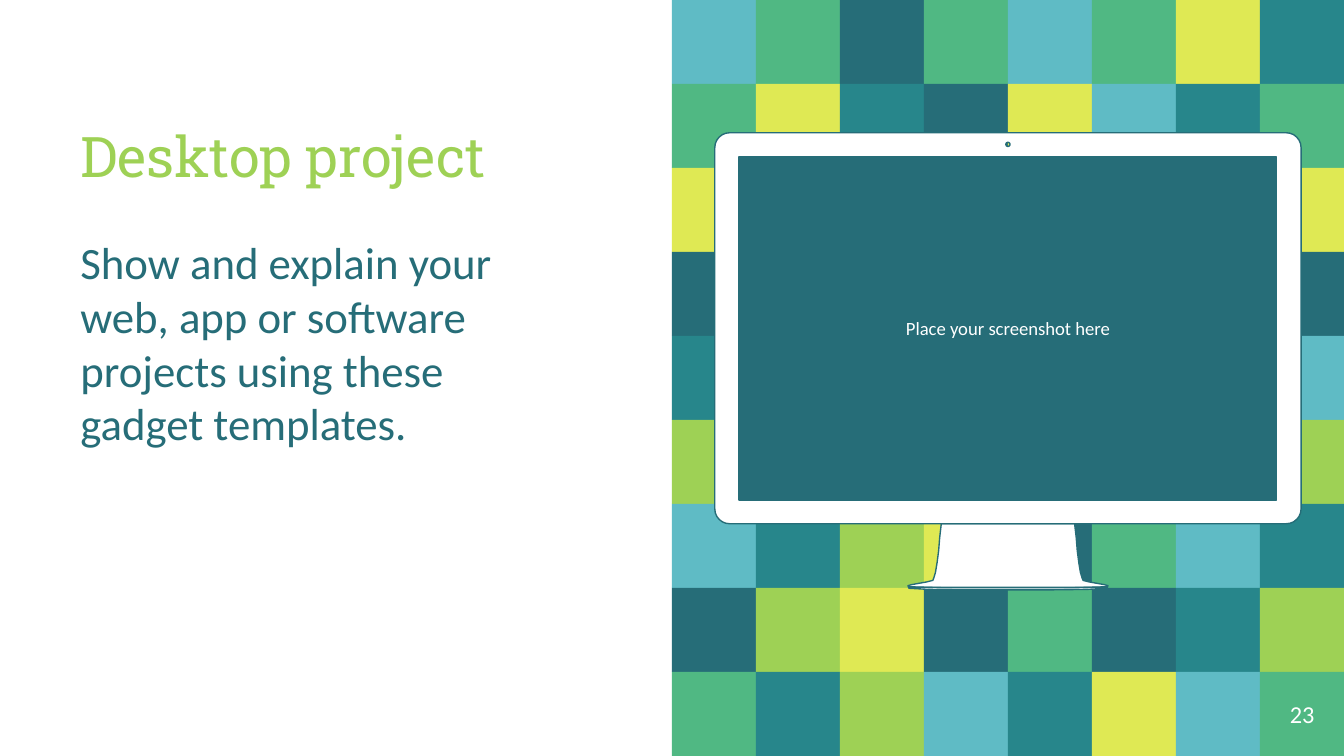
from math import cos, pi, sin

from pptx import Presentation
from pptx.dml.color import RGBColor
from pptx.enum.shapes import MSO_SHAPE
from pptx.enum.text import MSO_ANCHOR, PP_ALIGN
from pptx.util import Cm, Pt

WHITE, DARK, LIME = "FFFFFF", "266D78", "9ED155"
TILE_COLORS = {"L": LIME, "D": DARK, "Y": "DFE954",
               "G": "50B883", "T": "27868B", "C": "5FBBC5"}
MOSAIC = ["CGDGCGYT",
          "GYTDYCTG",
          "Y......Y",
          "D......D",
          "T......C",
          "LCDLTLGL",
          "CTLYDGCT",
          "DLYDGDTL",
          "GTLCTYCG"]
TILE = 25.4 / 16
MOSAIC_LEFT = 12.7
MONITOR_CENTER = 19.05
SCREEN_HALF, SCREEN_TOP, SCREEN_BOTTOM = 5.08, 2.97, 9.45
STAND = [(1.26, 9.9), (1.29, 10.16), (1.31, 10.41), (1.34, 10.64),
         (1.37, 10.82), (1.4, 10.92), (1.42, 10.97), (1.54, 11),
         (1.82, 11.05), (1.89, 11.07), (1.88, 11.09), (1.2, 11.11)]
FOOT = [(1.88, 11.1), (1.87, 11.12), (1.5, 11.14), (0.73, 11.15)]


def color(value):
    """Return the colour for a hex string."""
    return RGBColor.from_string(value)


def paint(shape, fill, line=None):
    """Give a shape a solid fill and an optional thin outline."""
    shape.shadow.inherit = False
    shape.fill.solid()
    shape.fill.fore_color.rgb = color(fill)
    if line:
        shape.line.color.rgb = color(line)
        shape.line.width = Pt(0.75)
    else:
        shape.line.fill.background()


def add_rectangle(slide, left, top, width, height, fill):
    """Add a filled rectangle, measured in centimetres."""
    shape = slide.shapes.add_shape(
        MSO_SHAPE.RECTANGLE, Cm(left), Cm(top), Cm(width), Cm(height))
    paint(shape, fill)
    return shape


def write(shape, text, size, text_color, font="Calibri",
          align=PP_ALIGN.LEFT, anchor=MSO_ANCHOR.TOP, space_before=0):
    """Write one formatted paragraph into a shape."""
    text_frame = shape.text_frame
    text_frame.text = text
    text_frame.word_wrap = True
    text_frame.vertical_anchor = anchor
    text_frame.margin_left = text_frame.margin_right = Cm(0.25)
    text_frame.margin_top = text_frame.margin_bottom = Cm(0.25)
    paragraph = text_frame.paragraphs[0]
    paragraph.alignment = align
    paragraph.space_before = Pt(space_before)
    run_font = paragraph.runs[0].font
    run_font.name = font
    run_font.size = Pt(size)
    run_font.color.rgb = color(text_color)


def add_text(slide, left, top, width, height, *content, **style):
    """Add a text box, measured in centimetres."""
    box = slide.shapes.add_textbox(Cm(left), Cm(top), Cm(width), Cm(height))
    write(box, *content, **style)


def add_mosaic(slide):
    """Lay the coloured tiles over the right half of the slide."""
    for row, letters in enumerate(MOSAIC):
        for column, letter in enumerate(letters):
            if letter in TILE_COLORS:
                add_rectangle(slide, MOSAIC_LEFT + column * TILE, row * TILE,
                              TILE, TILE, TILE_COLORS[letter])


def arc(x, y, radius, start, end, steps):
    """Return points along an arc, with angles in quarter turns."""
    angles = [(start + (end - start) * step / steps) * pi / 2
              for step in range(steps + 1)]
    return [(x + radius * cos(angle), y + radius * sin(angle))
            for angle in angles]


def mirrored(half):
    """Close half an outline symmetrically about the monitor's centre."""
    left = [(MONITOR_CENTER - x, y) for x, y in half]
    right = [(MONITOR_CENTER + x, y) for x, y in reversed(half)]
    return left + right


def add_outline(slide, contours):
    """Add one freeform made of several closed contours."""
    contours = [[(Cm(x), Cm(y)) for x, y in points] for points in contours]
    builder = slide.shapes.build_freeform(*contours[0][0], scale=1.0)
    builder.add_line_segments(contours[0][1:], close=True)
    for points in contours[1:]:
        builder.move_to(*points[0])
        builder.add_line_segments(points[1:], close=True)
    return builder.convert_to_shape()


def add_monitor(slide):
    """Draw the desktop monitor and its labelled screen."""
    case = arc(5.26, 2.79, 0.28, -1, 0, 6) + arc(5.26, 9.62, 0.28, 0, 1, 6)
    screen = [(SCREEN_HALF, SCREEN_TOP), (SCREEN_HALF, SCREEN_BOTTOM)]
    camera = arc(MONITOR_CENTER, 2.73, 0.04, 0, 4, 12)
    outlines = [mirrored(half) for half in (case, screen, STAND, FOOT)]
    paint(add_outline(slide, outlines + [camera]), WHITE, DARK)
    display = add_rectangle(slide, MONITOR_CENTER - SCREEN_HALF, SCREEN_TOP,
                            2 * SCREEN_HALF, SCREEN_BOTTOM - SCREEN_TOP, DARK)
    write(display, "Place your screenshot here", 10, WHITE,
          align=PP_ALIGN.CENTER, anchor=MSO_ANCHOR.MIDDLE)


def main():
    """Build and save the slide."""
    presentation = Presentation()
    presentation.slide_width = Cm(25.4)
    presentation.slide_height = Cm(9 * TILE)
    slide = presentation.slides.add_slide(presentation.slide_layouts[6])
    add_mosaic(slide)
    add_monitor(slide)
    add_text(slide, 1.27, 4.19, 9.83, 9.07,
             "Show and explain your web, app or software projects "
             "using these gadget templates.", 24, DARK, space_before=6)
    add_text(slide, MOSAIC_LEFT + 7 * TILE, 8 * TILE, TILE, TILE,
             "23", 13, WHITE,
             align=PP_ALIGN.CENTER, anchor=MSO_ANCHOR.MIDDLE)
    add_text(slide, 1.27, 1.42, 9.83, 2.39, "Desktop project", 30, LIME,
             font="Roboto Slab", anchor=MSO_ANCHOR.BOTTOM)
    presentation.save("out.pptx")


if __name__ == "__main__":
    main()
